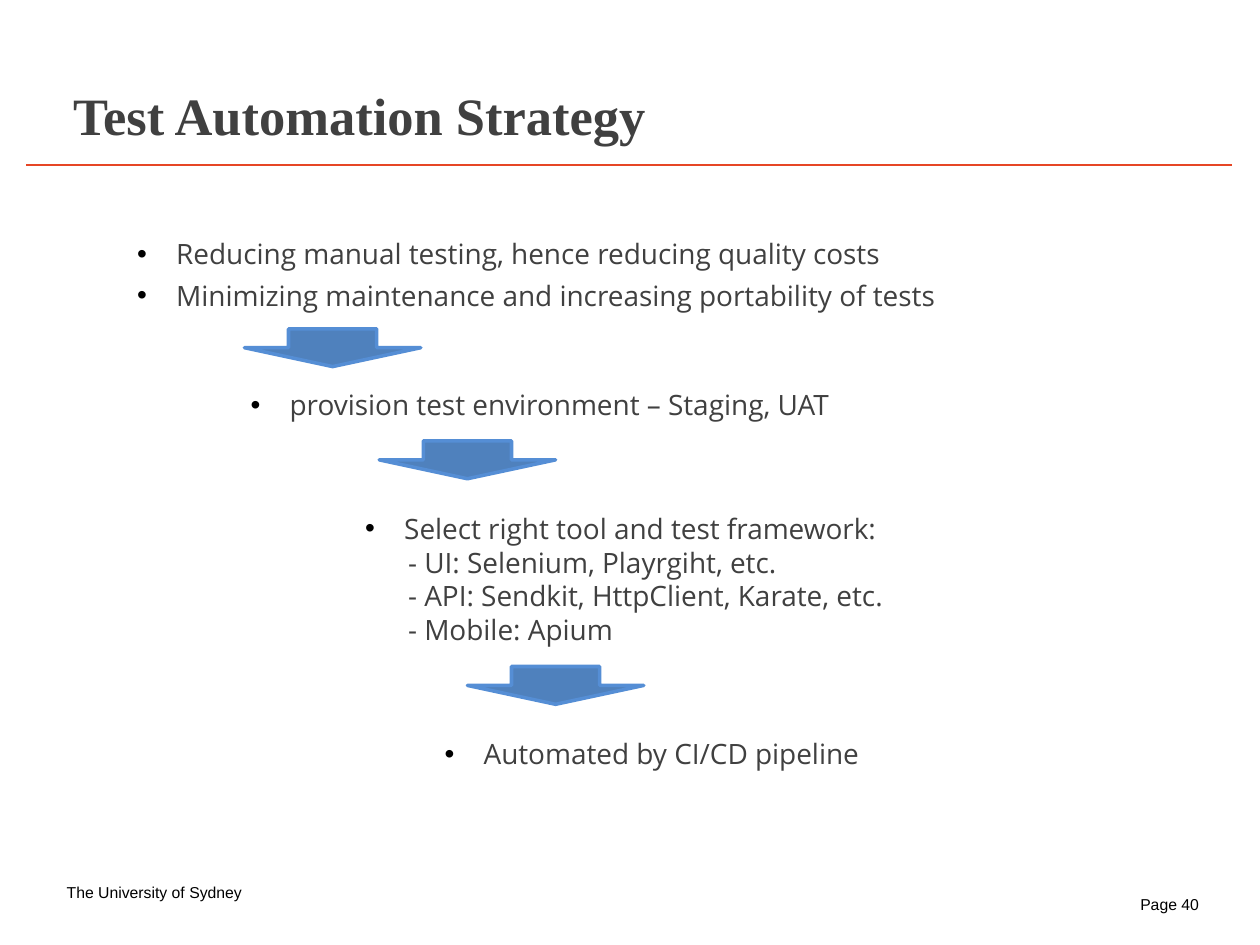
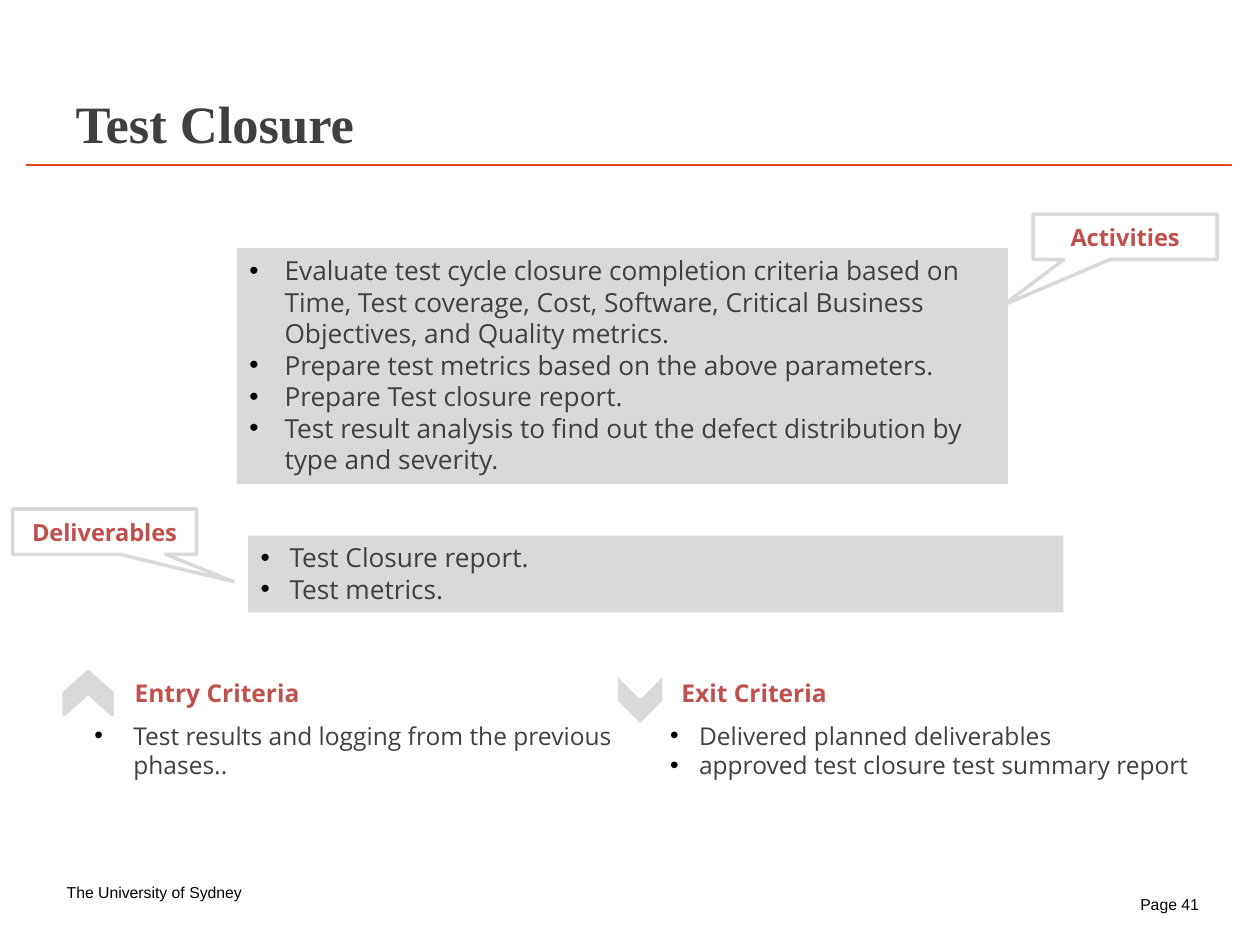
from lxml import etree
from pptx import Presentation
from pptx import util as u
from pptx.dml.color import RGBColor
from pptx.enum import shapes as kinds, text as txt
from pptx.oxml import ns

# Shared look
COLORS = {
    "body": "404040", "black": "000000", "white": "FFFFFF", "rule": "E64625",
    "heading": "C0504D", "panel": "D9D9D9", "arrow": "4F81BD", "arrow_edge": "558ED5",
}
TITLE_FONT, BODY_FONT, FOOTER_FONT = "Times New Roman", "Open Sans", "Arial"
COL = ROW = u.Inches(0.1)  # the slide is a grid of 100 columns by 75 rows
LEFT, CENTER, JUSTIFY = (txt.PP_ALIGN.LEFT, txt.PP_ALIGN.CENTER, txt.PP_ALIGN.JUSTIFY)
TOP, MIDDLE = txt.MSO_ANCHOR.TOP, txt.MSO_ANCHOR.MIDDLE
SHAPE = kinds.MSO_SHAPE
INSETS = (0.1, 0.05)


def rgb(name):
    return RGBColor.from_string(COLORS[name])


def place(left, top, width, height):
    """Turn grid columns and rows into slide lengths."""
    return [u.Emu(round(n * unit)) for n, unit in
            zip((left, top, width, height), (COL, ROW, COL, ROW))]


def assign(target, values):
    for name, value in values.items():
        setattr(target, name, value)


def add_element(parent, tag, **attributes):
    return etree.SubElement(parent, ns.qn(tag), attributes)


def style(size, color="body", face=BODY_FONT, bold=False):
    return {"size": u.Pt(size), "name": face, "bold": bold, "color": color}


def indent(paragraph, left, bullet=False):
    """Indent a paragraph, hanging a black bullet in the indent if asked."""
    props = paragraph._p.get_or_add_pPr()
    props.set("marL", str(u.Inches(left)))
    if bullet:
        props.set("indent", str(-u.Inches(left)))
        add_element(add_element(props, "a:buClr"), "a:srgbClr", val=COLORS["black"])
        add_element(props, "a:buFont", typeface="Arial")
        add_element(props, "a:buChar", char="•")


def write(frame, lines, font, align=LEFT, anchor=TOP, hang=0, insets=INSETS,
          plain_indent=0, bullets=None, spacing=None):
    """Fill a text frame; the first `bullets` lines hang, the rest are indented."""
    side, edge = (u.Inches(n) for n in insets)
    assign(frame, {"word_wrap": True, "auto_size": txt.MSO_AUTO_SIZE.NONE,
                   "vertical_anchor": anchor, "margin_left": side, "margin_right": side,
                   "margin_top": edge, "margin_bottom": edge})
    for number, line in enumerate(lines):
        paragraph = frame.paragraphs[0] if number == 0 else frame.add_paragraph()
        paragraph.alignment = align
        if spacing:
            paragraph.line_spacing = spacing
        if hang and (bullets is None or number < bullets):
            indent(paragraph, hang, bullet=True)
        elif plain_indent:
            indent(paragraph, plain_indent)
        run = paragraph.add_run()
        run.text = line
        assign(run.font, {k: v for k, v in font.items() if k != "color"})
        run.font.color.rgb = rgb(font["color"])


def add_text(slide, box, lines, font, **options):
    write(slide.shapes.add_textbox(*place(*box)).text_frame, lines, font, **options)


def add_figure(slide, preset, box, fill, edge=None, rotation=0):
    figure = slide.shapes.add_shape(preset, *place(*box))
    figure.shadow.inherit = False
    figure.rotation = rotation
    figure.fill.solid()
    figure.fill.fore_color.rgb = rgb(fill)
    if edge:
        figure.line.color.rgb = rgb(edge)
        figure.line.width = u.Pt(2)
        add_element(figure.line._get_or_add_ln(), "a:round")
    else:
        figure.line.fill.background()
    return figure


def add_panel(slide, box, lines, **options):
    panel = add_figure(slide, SHAPE.RECTANGLE, box, "panel")
    write(panel.text_frame, lines, style(15), **options)


def add_callout(slide, left, top, label, tip):
    callout = add_figure(slide, SHAPE.RECTANGULAR_CALLOUT, (left, top, 14.6, 3.6),
                         "white", "panel")
    callout.adjustments[0], callout.adjustments[1] = tip
    write(callout.text_frame, [label], style(13.5, "heading", bold=True),
          align=CENTER, anchor=MIDDLE, insets=(0, 0.05))


def add_criteria(slide, heading, heading_left, lines, lines_box, hang):
    add_text(slide, (heading_left, 53.3, 17, 3.4), [heading],
             style(14, "heading", bold=True))
    add_text(slide, lines_box, lines, style(14), hang=hang)


def add_page(deck, title, title_box, page):
    """Add a slide with its title, the rule below it and the footer."""
    slide = deck.slides.add_slide(deck.slide_layouts[5])
    heading = slide.shapes.title
    assign(heading, dict(zip(("left", "top", "width", "height"), place(*title_box))))
    write(heading.text_frame, [title], style(30, face=TITLE_FONT, bold=True),
          insets=(0.07, 0.04))

    left, top, width, _ = place(2.1, 13.1, 95.7, 0)
    rule = slide.shapes.add_connector(kinds.MSO_CONNECTOR.STRAIGHT,
                                      left, top, left + width, top)
    rule.line.color.rgb = rgb("rule")
    rule.line.width = u.Pt(0.75)
    add_element(rule._element.spPr, "a:effectLst")

    for footer, box in (("The University of Sydney", (5.2, 69.8, 16.4, 1.5)),
                        (f"Page {page}", (90.4, 70.8, 6, 1.6))):
        add_text(slide, box, [footer], style(9, "black", FOOTER_FONT),
                 insets=(0, 0), plain_indent=0.01, spacing=1.17)
    return slide


def build_strategy(deck):
    slide = add_page(deck, "Test Automation Strategy", (5.1, 6.2, 60, 6.2), 40)

    # Steps, each further to the right
    steps = [
        (9.9, 18.3, ["Reducing manual testing, hence reducing quality costs"]),
        (9.9, 21.6, ["Minimizing maintenance and increasing portability of tests"]),
        (18.9, 30.3, ["provision test environment – Staging, UAT"]),
        (28, 40.1, ["Select right tool and test framework:",
                    "- UI: Selenium, Playrgiht, etc.",
                    "- API: Sendkit, HttpClient, Karate, etc.",
                    "- Mobile: Apium"]),
        (34.3, 58, ["Automated by CI/CD pipeline"]),
    ]
    for left, top, lines in steps:
        add_text(slide, (left, top, 67.2, 1 + 2.7 * len(lines)), lines, style(16),
                 align=JUSTIFY, hang=0.31, bullets=1, plain_indent=0.34)

    # Arrows between the steps
    for left, top in ((19.4, 26.1), (30.1, 35), (37.1, 52.9)):
        add_figure(slide, SHAPE.DOWN_ARROW, (left, top, 14, 3), "arrow", "arrow_edge")


def build_closure(deck):
    slide = add_page(deck, "Test Closure", (5.3, 6.8, 60, 5.7), 41)

    # Activities and deliverables
    add_panel(slide, (18.8, 19.7, 61.2, 18.7), [
        "Evaluate test cycle closure completion criteria based on Time, Test coverage, "
        "Cost, Software, Critical Business Objectives, and Quality metrics.",
        "Prepare test metrics based on the above parameters.",
        "Prepare Test closure report.",
        "Test result analysis to find out the defect distribution by type and severity.",
    ], hang=0.28)
    add_panel(slide, (19.7, 42.5, 64.7, 6.1), ["Test Closure report.", "Test metrics."],
              hang=0.23, align=JUSTIFY)
    add_callout(slide, 82, 17, "Activities", (-0.66, 1.5))
    add_callout(slide, 1, 40.4, "Deliverables", (0.7, 1.1))

    # Entry and exit criteria
    add_criteria(slide, "Entry Criteria", 9.7,
                 ["Test results and logging from the previous phases.."],
                 (6.5, 56.7, 46.2, 5.7), 0.31)
    add_criteria(slide, "Exit Criteria", 53.1,
                 ["Delivered planned deliverables",
                  "approved test closure test summary report"],
                 (52.2, 56.7, 44.4, 5.7), 0.23)
    add_figure(slide, SHAPE.CHEVRON, (5.3, 53.1, 3.4, 3.8), "panel", "panel", 270)
    add_figure(slide, SHAPE.CHEVRON, (48.7, 53.6, 4.2, 3.8), "panel", "white", 90)


def main():
    deck = Presentation()
    deck.slide_width, deck.slide_height = 100 * COL, 75 * ROW
    build_strategy(deck)
    build_closure(deck)
    deck.save("out.pptx")


if __name__ == "__main__":
    main()
